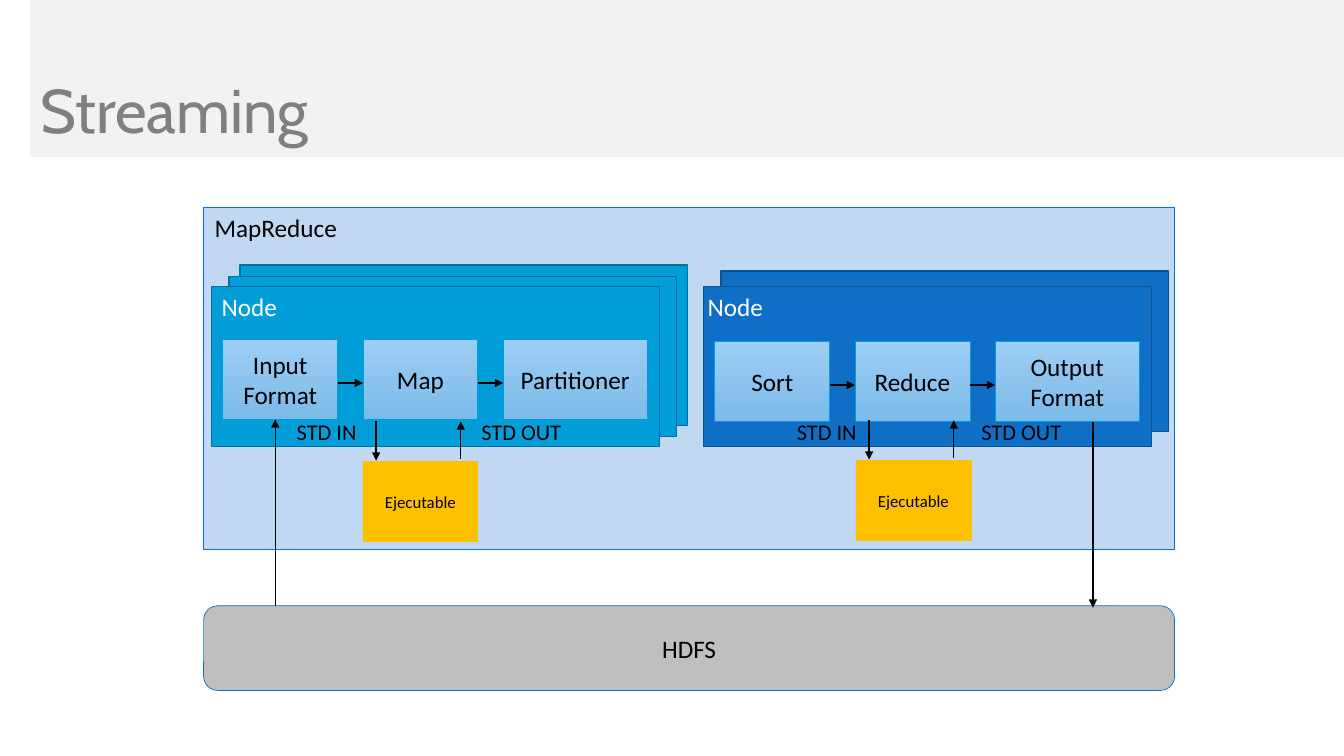
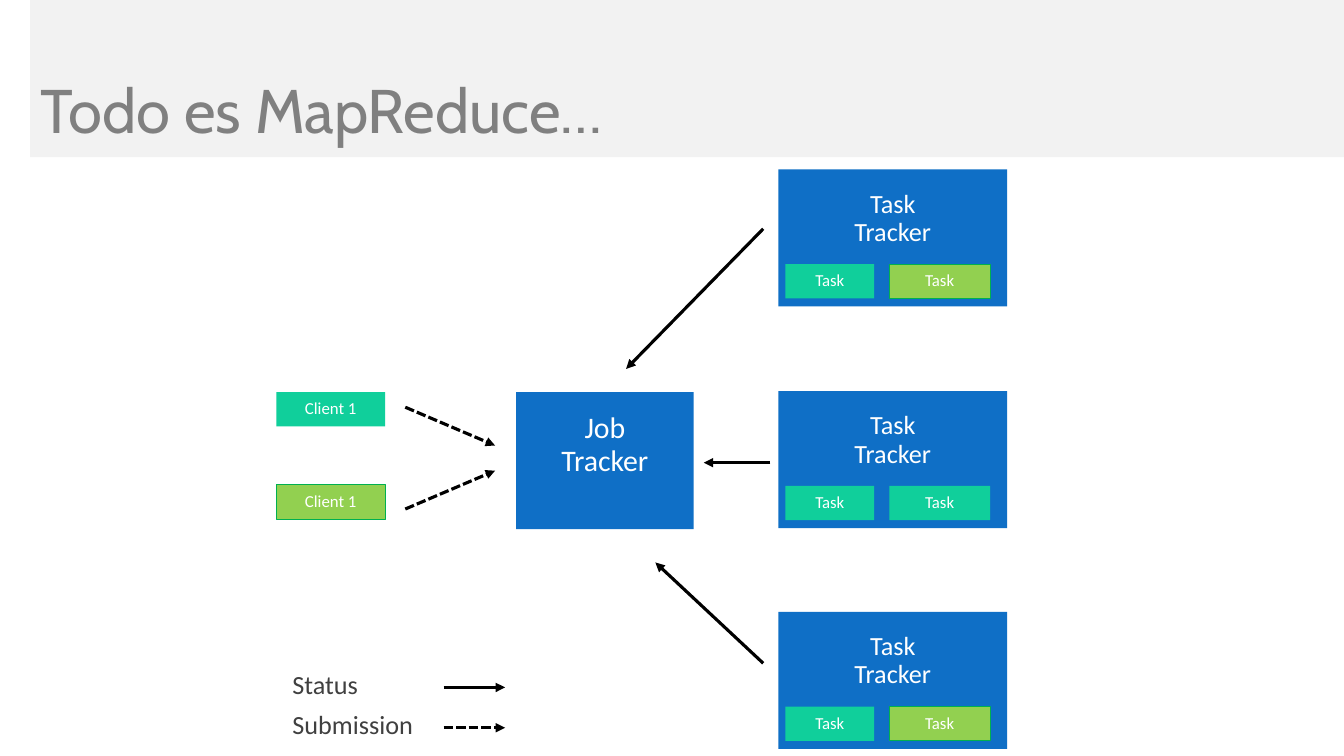
"""Build two slides: a streaming MapReduce diagram and a job tracker diagram."""
from lxml import etree
from pptx import Presentation
from pptx.dml.color import RGBColor
from pptx.enum import dml, shapes, text
from pptx.oxml.ns import qn
from pptx.util import Inches, Pt

BAND = RGBColor(0xF2, 0xF2, 0xF2)
TITLE_GRAY = RGBColor(0x80, 0x80, 0x80)
TEXT_GRAY = RGBColor(0x40, 0x40, 0x40)
BLACK = RGBColor(0, 0, 0)
WHITE = RGBColor(0xFF, 0xFF, 0xFF)
BLUE = RGBColor(0x0F, 0x6F, 0xC6)
DARK_BLUE = RGBColor(0x0B, 0x52, 0x92)
PALE_BLUE = RGBColor(0xC1, 0xD8, 0xF2)
CYAN = RGBColor(0x00, 0x9D, 0xD9)
DARK_CYAN = RGBColor(0x00, 0x74, 0xA1)
STAGE_TOP = RGBColor(0x9D, 0xCD, 0xF4)
STAGE_BOTTOM = RGBColor(0x7C, 0xBB, 0xE9)
SILVER = RGBColor(0xBF, 0xBF, 0xBF)
AMBER = RGBColor(0xFF, 0xC0, 0x00)
TEAL = RGBColor(0x10, 0xCF, 0x9B)
LIME = RGBColor(0x92, 0xD0, 0x50)
GREEN = RGBColor(0x00, 0xB0, 0x50)

TITLE_FONT, BODY_FONT = "Cabin", "Calibri"
RECT = shapes.MSO_SHAPE.RECTANGLE
ROUNDED = shapes.MSO_SHAPE.ROUNDED_RECTANGLE
LEFT, CENTER = text.PP_ALIGN.LEFT, text.PP_ALIGN.CENTER
TOP, MIDDLE = text.MSO_ANCHOR.TOP, text.MSO_ANCHOR.MIDDLE

NODE_TOP, NODE_SIZE = 2.84, (4.44, 1.59)
STAGE_STEP, STAGE_HEIGHT = 1.39, 0.79
STAGE_WIDTHS = (1.14, 1.14, 1.43)
PHASES = [
    dict(left=2.1, fill=CYAN, line=DARK_CYAN, behind=[(2.38, 2.63), (2.27, 2.74)],
         stages=["Input\vFormat", "Map", "Partitioner"], stage_top=3.37,
         node_label=2.1, stream_shift=0, program=(3.6, 4.58)),
    dict(left=6.98, fill=BLUE, line=DARK_BLUE, behind=[(7.15, 2.69)],
         stages=["Sort", "Reduce", "Output Format"], stage_top=3.39,
         node_label=6.92, stream_shift=0.08, program=(8.49, 4.57)),
]
STORAGE_ARROWS = [((2.73, 6.01), (2.73, 4.16)), ((10.84, 4.19), (10.84, 6.03))]

TRACKERS = [(1.68, (TEAL, LIME)), (3.88, (TEAL, TEAL)), (6.07, (TEAL, LIME))]
TASK_SLOTS = [(7.79, 0.88), (8.82, 1)]
CLIENTS = [(3.89, TEAL), (4.81, LIME)]
SUBMISSIONS = [((4.02, 4.04), (4.91, 4.42)), ((4.02, 5.05), (4.91, 4.67)),
               ((4.4, 7.22), (5.01, 7.22))]
STATUSES = [((7.57, 2.27), (6.21, 3.66)), ((7.64, 4.59), (6.98, 4.59)),
            ((7.57, 6.58), (6.5, 5.58)), ((4.4, 6.82), (5.01, 6.82))]


def write(frame, words, size, color, font=BODY_FONT, align=CENTER, anchor=MIDDLE,
          spacing=None, after=None, insets=None):
    frame.text = words
    frame.vertical_anchor = anchor
    if insets:
        frame.margin_left = frame.margin_right = Inches(insets[0])
        frame.margin_top = frame.margin_bottom = Inches(insets[1])
    for para in frame.paragraphs:
        para.alignment = align
        para.line_spacing = spacing
        para.space_after = after
        for span in para.runs:
            span.font.size = Pt(size)
            span.font.name = font
            span.font.color.rgb = color


def add_box(page, at, fill, line=None, width=0.5, kind=RECT):
    box = page.shapes.add_shape(kind, *map(Inches, at))
    box.shadow.inherit = False
    box.fill.solid()
    box.fill.fore_color.rgb = fill
    if line is None:
        box.line.fill.background()
    else:
        box.line.color.rgb = line
        box.line.width = Pt(width)
    return box


def add_stage(page, at, words):
    stage = add_box(page, at, STAGE_TOP, CYAN)
    stage.fill.gradient()
    stage.fill.gradient_angle = 270
    for stop, color in zip(stage.fill.gradient_stops, (STAGE_TOP, STAGE_BOTTOM)):
        stop.color.rgb = color
    write(stage.text_frame, words, 18, BLACK)


def add_label(page, at, words, size, color, wrap=False, **style):
    label = page.shapes.add_textbox(*map(Inches, at))
    label.text_frame.word_wrap = wrap
    write(label.text_frame, words, size, color, anchor=TOP, **style)


def add_arrow(page, start, end, width=1, dashed=False):
    arrow = page.shapes.add_connector(
        shapes.MSO_CONNECTOR.STRAIGHT, *map(Inches, start + end))
    arrow.line.color.rgb = BLACK
    arrow.line.width = Pt(width)
    if dashed:
        arrow.line.dash_style = dml.MSO_LINE.SQUARE_DOT
    properties = arrow.element.spPr
    etree.SubElement(properties.find(qn("a:ln")), qn("a:tailEnd"), type="triangle")
    etree.SubElement(properties, qn("a:effectLst"))


def add_page(deck, layout, title):
    page = deck.slides.add_slide(layout)
    write(page.shapes.title.text_frame, title, 44, TITLE_GRAY,
          font=TITLE_FONT, align=LEFT, spacing=0.9)
    return page


def prepare_layout(layout, page):
    band = add_box(page, (0.3, 0, 13.03, 1.56), BAND)
    layout.shapes.element.insert(2, band.element)
    title = layout.placeholders[0]
    title.left, title.top, title.width, title.height = map(
        Inches, (0.3, 0.4, 12.12, 1.45))


def draw_phase(page, phase):
    left, top = phase["left"], phase["stage_top"]
    for corner in phase["behind"] + [(left, NODE_TOP)]:
        add_box(page, corner + NODE_SIZE, phase["fill"], phase["line"], 1)
    add_label(page, (phase["node_label"], NODE_TOP, 0.76, 0.4), "Node", 18, WHITE,
              align=LEFT)
    for index, (words, width) in enumerate(zip(phase["stages"], STAGE_WIDTHS)):
        stage_left = left + 0.11 + index * STAGE_STEP
        add_stage(page, (stage_left, top, width, STAGE_HEIGHT), words)
        if index:
            add_arrow(page, (stage_left - 0.25, top + 0.43), (stage_left, top + 0.43))

    x, y = phase["program"]
    program = add_box(page, (x, y, STAGE_WIDTHS[0], STAGE_HEIGHT), AMBER, AMBER)
    write(program.text_frame, "Ejecutable", 12, BLACK)
    add_arrow(page, (x + 0.13, y - 0.4), (x + 0.13, y - 0.01))
    add_arrow(page, (x + 0.97, y - 0.03), (x + 0.97, y - 0.4))
    for words, offset, width in (("STD IN", 0.74, 0.8), ("STD OUT", 2.57, 1)):
        label_left = left + offset + phase["stream_shift"]
        add_label(page, (label_left, 4.1, width, 0.37), words, 16, BLACK)


def draw_streaming(page):
    add_box(page, (2.02, 2.06, 9.63, 3.39), PALE_BLUE, BLUE)
    add_label(page, (2.03, 2.06, 1.43, 0.4), "MapReduce", 18, BLACK, align=LEFT)
    storage = add_box(page, (2.02, 6.01, 9.63, 0.84), SILVER, BLUE, kind=ROUNDED)
    write(storage.text_frame, "HDFS", 18, BLACK)
    for phase in PHASES:
        draw_phase(page, phase)
    for start, end in STORAGE_ARROWS:
        add_arrow(page, start, end)


def add_tracker(page, at, words, size):
    tracker = add_box(page, at, BLUE)
    write(tracker.text_frame, words, size, WHITE, anchor=TOP, spacing=0.9,
          insets=(0.27, 0.21))


def add_chip(page, at, words, color):
    chip = add_box(page, at, color, GREEN if color == LIME else None)
    write(chip.text_frame, words, 12, WHITE, spacing=0.9, insets=(0, 0))


def draw_trackers(page):
    add_tracker(page, (5.12, 3.89, 1.76, 1.36), "Job\nTracker", 21.3)
    for top, colors in TRACKERS:
        add_tracker(page, (7.72, top, 2.27, 1.36), "Task\nTracker", 18.7)
        for (left, width), color in zip(TASK_SLOTS, colors):
            add_chip(page, (left, top + 0.94, width, 0.34), "Task", color)
    for top, color in CLIENTS:
        add_chip(page, (2.74, top, 1.08, 0.34), "Client 1", color)
    add_label(page, (2.63, 6.46, 1.99, 1.07), "Status\nSubmission", 18.7, TEXT_GRAY,
              wrap=True, align=LEFT, spacing=0.9, after=Pt(8), insets=(0.27, 0.21))
    for arrows, dashed in ((STATUSES, False), (SUBMISSIONS, True)):
        for start, end in arrows:
            add_arrow(page, start, end, 2.25, dashed)


def main():
    deck = Presentation()
    deck.slide_width, deck.slide_height = Inches(13.33), Inches(7.5)
    layout = deck.slide_layouts[5]
    streaming = add_page(deck, layout, "Streaming")
    prepare_layout(layout, streaming)
    draw_streaming(streaming)
    draw_trackers(add_page(deck, layout, "Todo es MapReduce…"))
    deck.save("out.pptx")


if __name__ == "__main__":
    main()
